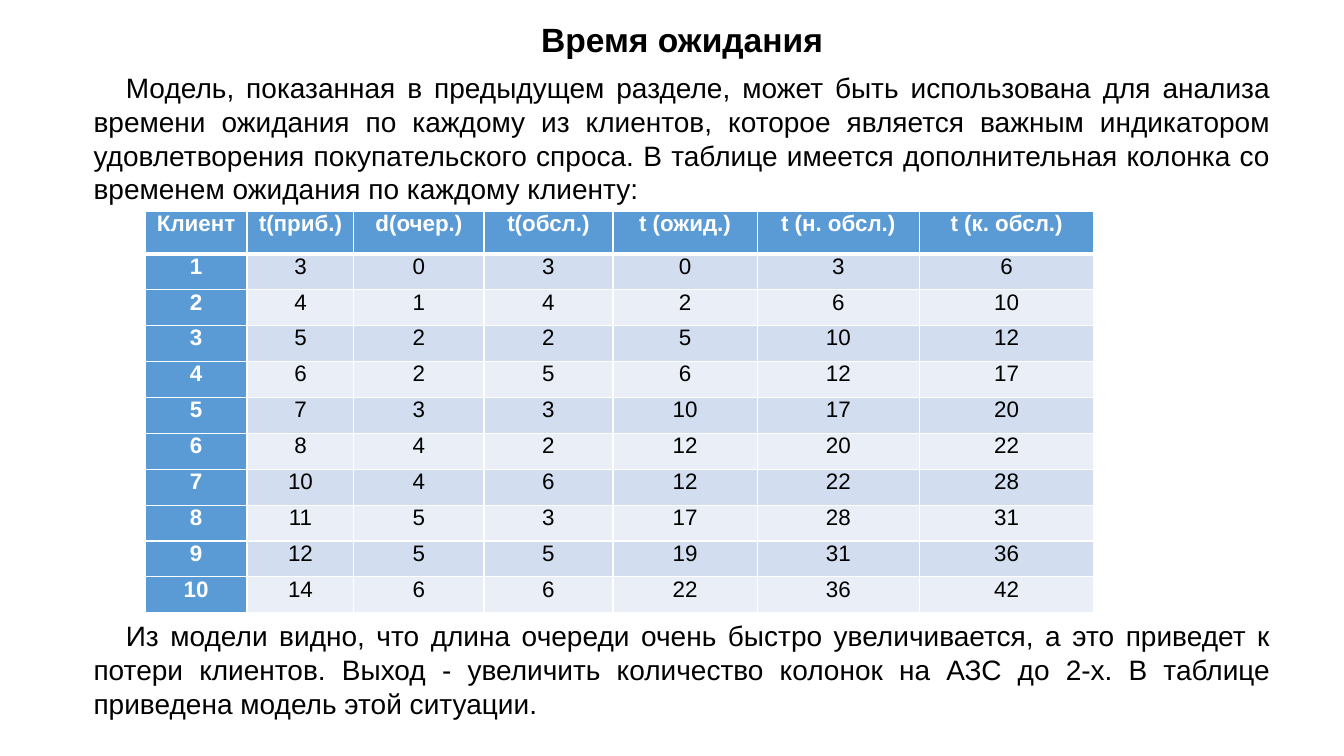
from lxml import etree
from pptx import Presentation
from pptx import util as u
from pptx.dml.color import RGBColor
from pptx.enum import text
from pptx.oxml.ns import qn

BLACK, WHITE, BLUE = "000000", "FFFFFF", "5B9BD5"
BANDS = ("D2DEEF", "EAEFF7")
JUSTIFY, CENTER = text.PP_ALIGN.JUSTIFY, text.PP_ALIGN.CENTER

TITLE = "Время ожидания"
INTRO = ("Модель, показанная в предыдущем разделе, может быть использована для анализа "
         "времени ожидания по каждому из клиентов, которое является важным индикатором "
         "удовлетворения покупательского спроса. В таблице имеется дополнительная колонка "
         "со временем ожидания по каждому клиенту:")
CONCLUSION = ("Из модели видно, что длина очереди очень быстро увеличивается, а это приведет "
              "к потери клиентов. Выход - увеличить количество колонок на АЗС до 2-х. "
              "В таблице приведена модель этой ситуации.")

HEADINGS = ("Клиент", "t(приб.)", "d(очер.)", "t(обсл.)", "t (ожид.)",
            "t (н. обсл.)", "t (к. обсл.)")
CLIENTS = (
    (1, 3, 0, 3, 0, 3, 6),
    (2, 4, 1, 4, 2, 6, 10),
    (3, 5, 2, 2, 5, 10, 12),
    (4, 6, 2, 5, 6, 12, 17),
    (5, 7, 3, 3, 10, 17, 20),
    (6, 8, 4, 2, 12, 20, 22),
    (7, 10, 4, 6, 12, 22, 28),
    (8, 11, 5, 3, 17, 28, 31),
    (9, 12, 5, 5, 19, 31, 36),
    (10, 14, 6, 6, 22, 36, 42),
)
COLUMN_WIDTHS = (1.01, 1.06, 1.29, 1.28, 1.43, 1.61, 1.73)
HEADER_HEIGHT = 0.42


def color(value):
    return RGBColor.from_string(value)


def write(para, words, size, align, shade=BLACK, bold=False):
    para.text = words
    para.alignment = align
    for span in para.runs:
        span.font.name = "Arial"
        span.font.size = u.Pt(size)
        span.font.bold = bold
        span.font.color.rgb = color(shade)


def write_body(para, words):
    """Write a justified paragraph with an indented first line."""
    write(para, words, 20, JUSTIFY)
    properties = para._p.get_or_add_pPr()
    properties.set("marL", "0")
    properties.set("indent", str(u.Inches(0.32)))


def add_text_frame(page, box):
    frame = page.shapes.add_textbox(*map(u.Inches, box)).text_frame
    frame.word_wrap = True
    frame.auto_size = text.MSO_AUTO_SIZE.SHAPE_TO_FIT_TEXT
    return frame


def add_introduction(page, box):
    frame = add_text_frame(page, box)
    title = frame.paragraphs[0]
    write(title, TITLE, 24, CENTER, bold=True)
    title.space_before = u.Pt(13.5)
    intro = frame.add_paragraph()
    write_body(intro, INTRO)
    intro.space_before = u.Pt(8.2)


def add_conclusion(page, box):
    para = add_text_frame(page, box).paragraphs[0]
    write_body(para, CONCLUSION)
    para.space_before = u.Pt(13.5)
    para.space_after = u.Pt(8)


def set_borders(cell, **widths):
    """Draw white borders; widths are points by side: L, R, T, B."""
    properties = cell._tc.get_or_add_tcPr()
    for position, (side, width) in enumerate(widths.items()):
        line = etree.Element(qn(f"a:ln{side}"), w=str(u.Pt(width)))
        fill = etree.SubElement(line, qn("a:solidFill"))
        etree.SubElement(fill, qn("a:srgbClr"), val=WHITE)
        properties.insert(position, line)


def fill_cell(cell, value, row, column):
    accent = row == 0 or column == 0
    cell.fill.solid()
    cell.fill.fore_color.rgb = color(BLUE if accent else BANDS[(row - 1) % 2])
    cell.margin_left = cell.margin_right = u.Inches(0.07)
    cell.margin_top = cell.margin_bottom = 0
    write(cell.text_frame.paragraphs[0], str(value), 16, CENTER,
          WHITE if accent else BLACK, accent)
    set_borders(cell, L=1, R=1, T=3 if row == 1 else 1, B=3 if row == 0 else 1)


def add_waiting_table(page, box):
    rows = (HEADINGS, *CLIENTS)
    table = page.shapes.add_table(len(rows), len(HEADINGS), *map(u.Inches, box)).table
    table.first_col = True
    for column, width in zip(table.columns, COLUMN_WIDTHS):
        column.width = u.Inches(width)
    client_height = (box[3] - HEADER_HEIGHT) / len(CLIENTS)
    for row, values in enumerate(rows):
        table.rows[row].height = u.Inches(client_height if row else HEADER_HEIGHT)
        for column, value in enumerate(values):
            fill_cell(table.cell(row, column), value, row, column)


def main():
    deck = Presentation()
    deck.slide_width, deck.slide_height = u.Inches(13.33), u.Inches(7.5)
    page = deck.slides.add_slide(deck.slide_layouts[6])
    add_waiting_table(page, (1.44, 2.1, 9.41, 3.98))
    add_conclusion(page, (0.83, 6.09, 11.87, 1.11))
    add_introduction(page, (0.83, 0.14, 11.87, 1.96))
    deck.save("out.pptx")


if __name__ == "__main__":
    main()
